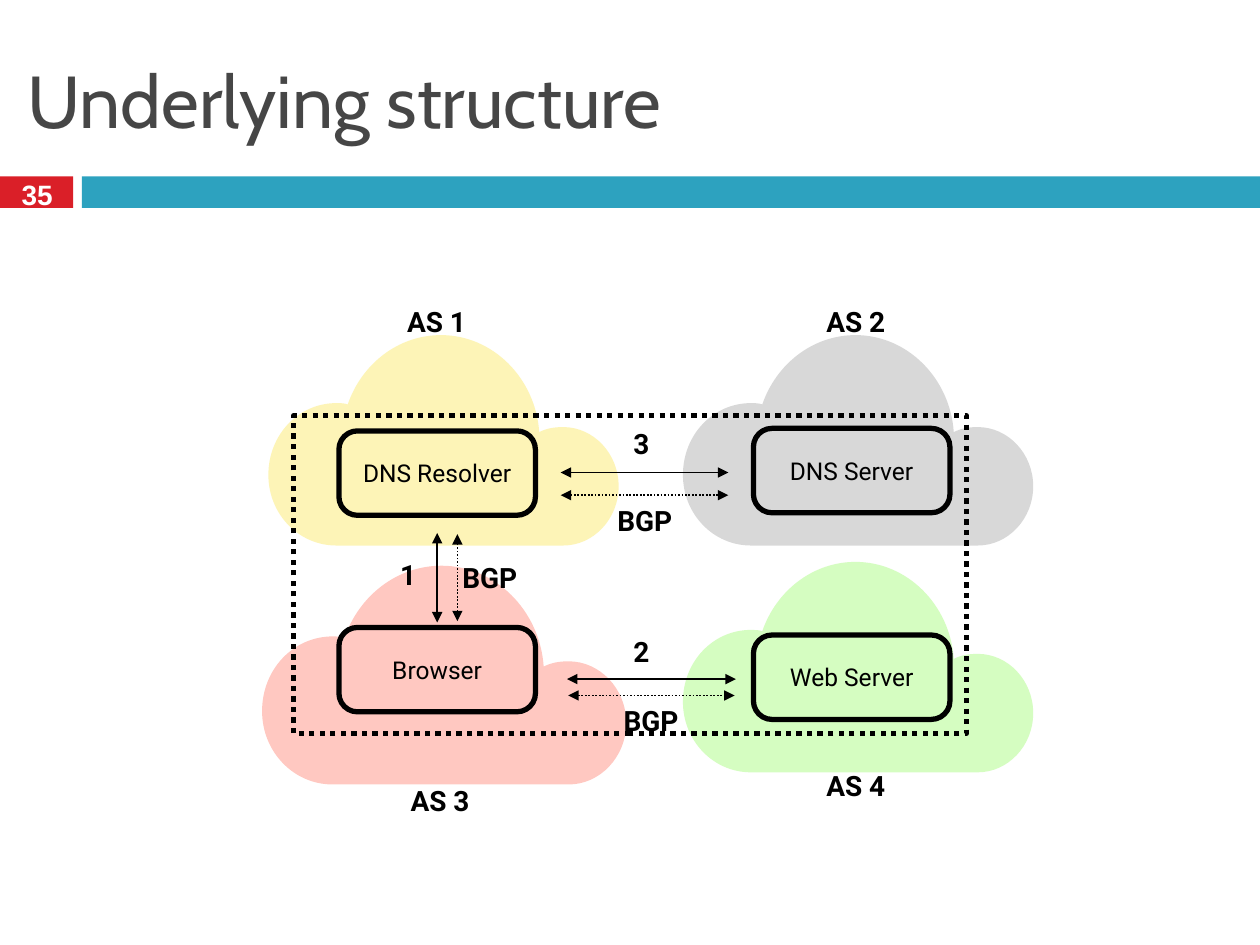
from dataclasses import dataclass
from typing import NamedTuple

import lxml.etree
import pptx
import pptx.dml.color
import pptx.enum.dml
import pptx.enum.shapes
import pptx.enum.text
import pptx.oxml.ns
import pptx.util

Inches = pptx.util.Inches
Pt = pptx.util.Pt
qn = pptx.oxml.ns.qn
ShapeKind = pptx.enum.shapes.MSO_SHAPE
Align = pptx.enum.text.PP_ALIGN
DOTTED = pptx.enum.dml.MSO_LINE.ROUND_DOT


@dataclass(frozen=True)
class Theme:
    black: str = "000000"
    white: str = "FFFFFF"
    title_gray: str = "464646"
    red: str = "DA1F28"
    teal: str = "2DA2BF"
    cloud_opacity: int = 35000
    title_size: int = 42
    label_size: int = 16
    node_size: int = 14
    heavy_line: int = 3
    thin_line: int = 1
    title_font: str = "Cabin"
    number_font: str = "Arial"
    body_font: str = "Roboto"


THEME = Theme()


class Cloud(NamedTuple):
    left: float
    top: float
    width: float
    color: str


class Label(NamedTuple):
    text: str
    left: float
    top: float
    width: float
    wraps: bool = False


class Node(NamedTuple):
    text: str
    left: float
    top: float


class Arrow(NamedTuple):
    start: tuple[float, float]
    end: tuple[float, float]
    dotted: bool = False


CLOUD_WIDTH = 2.78
CLOUD_START = (1.37, 0)
CLOUD_SEGMENTS = [
    [(1.03, 0), (0.74, 0.23), (0.63, 0.55)],
    [(0.6, 0.54), (0.57, 0.54), (0.54, 0.54)],
    [(0.24, 0.54), (0, 0.79), (0, 1.11)],
    [(0, 1.42), (0.24, 1.67), (0.54, 1.67)],
    [(2.34, 1.67)],
    [(2.58, 1.67), (2.78, 1.46), (2.78, 1.2)],
    [(2.78, 0.94), (2.58, 0.73), (2.34, 0.73)],
    [(2.27, 0.73), (2.21, 0.74), (2.15, 0.77)],
    [(2.12, 0.34), (1.78, 0), (1.37, 0)],
]

CLOUDS = [
    Cloud(5.42, 2.66, 2.78, "929292"),
    Cloud(5.42, 4.46, 2.78, "88FA4E"),
    Cloud(2.13, 2.66, 2.78, "FAE232"),
    Cloud(2.08, 4.49, 2.89, "FF644E"),
]
NODES = [
    Node("DNS Server", 5.98, 3.4),
    Node("Browser", 2.69, 4.98),
    Node("Web Server", 5.98, 5.04),
    Node("DNS Resolver", 2.69, 3.42),
]
ARROWS = [
    Arrow((3.47, 4.94), (3.47, 4.23)),
    Arrow((4.5, 5.39), (5.84, 5.39)),
    Arrow((4.45, 3.75), (5.78, 3.75)),
    Arrow((4.45, 3.93), (5.78, 3.93), dotted=True),
    Arrow((4.51, 5.52), (5.83, 5.52), dotted=True),
    Arrow((3.63, 4.93), (3.63, 4.24), dotted=True),
]
LABELS = [
    Label("AS 1", 3.18, 2.38, 0.57),
    Label("AS 2 ", 6.5, 2.38, 0.64),
    Label("AS 3 ", 3.2, 6.18, 0.64),
    Label("AS 4 ", 6.5, 6.06, 0.64),
    Label("1", 3.13, 4.39, 0.22),
    Label("2", 4.98, 5, 0.22),
    Label("3", 4.98, 3.35, 0.22),
    Label("BGP ", 4.83, 3.96, 0.63, wraps=True),
    Label("BGP ", 4.88, 5.55, 0.63, wraps=True),
    Label("BGP ", 3.6, 4.41, 0.63, wraps=True),
]


def rgb(color: str) -> pptx.dml.color.RGBColor:
    return pptx.dml.color.RGBColor.from_string(color)


def write_text(shape, text: str, size: int, font: str, color: str = THEME.black,
               bold: bool = False, align=Align.CENTER, inset: float = 0.04,
               wraps: bool = True) -> None:
    frame = shape.text_frame
    frame.word_wrap = wraps
    frame.vertical_anchor = pptx.enum.text.MSO_ANCHOR.MIDDLE
    frame.margin_left = frame.margin_right = Inches(inset)
    frame.margin_top = frame.margin_bottom = Inches(inset)
    paragraph = frame.paragraphs[0]
    paragraph.text = text
    paragraph.alignment = align
    paragraph.font.size = Pt(size)
    paragraph.font.name = font
    paragraph.font.bold = bold
    paragraph.font.color.rgb = rgb(color)


def add_box(slide, kind, left: float, top: float, width: float, height: float,
            fill: str | None = None):
    shape = slide.shapes.add_shape(kind, Inches(left), Inches(top), Inches(width), Inches(height))
    shape.shadow.inherit = False
    if fill:
        shape.fill.solid()
        shape.fill.fore_color.rgb = rgb(fill)
        shape.line.fill.background()
    else:
        shape.fill.background()
        shape.line.color.rgb = rgb(THEME.black)
        shape.line.width = Pt(THEME.heavy_line)
    return shape


def add_text_box(slide, left: float, top: float, width: float, height: float):
    return slide.shapes.add_textbox(Inches(left), Inches(top), Inches(width), Inches(height))


def add_cloud(slide, cloud: Cloud) -> None:
    scale = cloud.width / CLOUD_WIDTH
    corners = [CLOUD_START] + [segment[-1] for segment in CLOUD_SEGMENTS]
    points = [(Inches(cloud.left + x * scale), Inches(cloud.top + y * scale)) for x, y in corners]
    builder = slide.shapes.build_freeform(*points[0])
    builder.add_line_segments(points[1:], close=True)
    shape = builder.convert_to_shape()
    shape.shadow.inherit = False
    shape.line.fill.background()
    shape.fill.solid()
    shape.fill.fore_color.rgb = rgb(cloud.color)
    color = next(shape.element.iter(qn("a:srgbClr")))
    lxml.etree.SubElement(color, qn("a:alpha"), val=str(THEME.cloud_opacity))
    edges = list(shape.element.iter(qn("a:lnTo")))
    for edge, (*controls, _) in zip(edges, CLOUD_SEGMENTS):
        if controls:
            edge.tag = qn("a:cubicBezTo")
        for position, (x, y) in enumerate(controls):
            point = lxml.etree.Element(qn("a:pt"), x=str(int(Inches(x * scale))),
                                       y=str(int(Inches(y * scale))))
            edge.insert(position, point)


def add_node(slide, node: Node) -> None:
    shape = add_box(slide, ShapeKind.ROUNDED_RECTANGLE, node.left, node.top, 1.56, 0.67)
    shape.adjustments[0] = 0.22
    write_text(shape, node.text, THEME.node_size, THEME.body_font)


def add_arrow(slide, arrow: Arrow) -> None:
    connector = slide.shapes.add_connector(
        pptx.enum.shapes.MSO_CONNECTOR.STRAIGHT, *map(Inches, arrow.start + arrow.end))
    connector.line.color.rgb = rgb(THEME.black)
    connector.line.width = Pt(THEME.thin_line)
    if arrow.dotted:
        connector.line.dash_style = DOTTED
    line = next(connector.element.iter(qn("a:ln")))
    for end in ("a:headEnd", "a:tailEnd"):
        lxml.etree.SubElement(line, qn(end), type="triangle")
    lxml.etree.SubElement(line.getparent(), qn("a:effectLst"))


def add_label(slide, label: Label) -> None:
    box = add_text_box(slide, label.left, label.top, label.width, 0.34)
    write_text(box, label.text, THEME.label_size, THEME.body_font, bold=True, wraps=label.wraps)
    box.text_frame.auto_size = pptx.enum.text.MSO_AUTO_SIZE.SHAPE_TO_FIT_TEXT


def add_header(slide) -> None:
    add_box(slide, ShapeKind.RECTANGLE, 0, 1.4, 0.58, 0.25, THEME.red)
    add_box(slide, ShapeKind.RECTANGLE, 0.65, 1.4, 9.35, 0.25, THEME.teal)
    write_text(add_text_box(slide, 0.17, 0.25, 9.67, 1.08), "Underlying structure",
               THEME.title_size, THEME.title_font, THEME.title_gray, align=Align.LEFT, inset=0.05)
    write_text(add_text_box(slide, 0.12, 1.37, 0.35, 0.35), "35", THEME.label_size,
               THEME.number_font, THEME.white, bold=True, inset=0.05, wraps=False)


def main() -> None:
    presentation = pptx.Presentation()
    presentation.slide_width, presentation.slide_height = Inches(10), Inches(7.5)
    slide = presentation.slides.add_slide(presentation.slide_layouts[6])
    add_header(slide)
    for cloud in CLOUDS:
        add_cloud(slide, cloud)
    for node in NODES:
        add_node(slide, node)
    perimeter = add_box(slide, ShapeKind.RECTANGLE, 2.33, 3.3, 5.34, 2.52)
    perimeter.line.dash_style = DOTTED
    for arrow in ARROWS:
        add_arrow(slide, arrow)
    for label in LABELS:
        add_label(slide, label)
    presentation.save("out.pptx")


if __name__ == "__main__":
    main()
